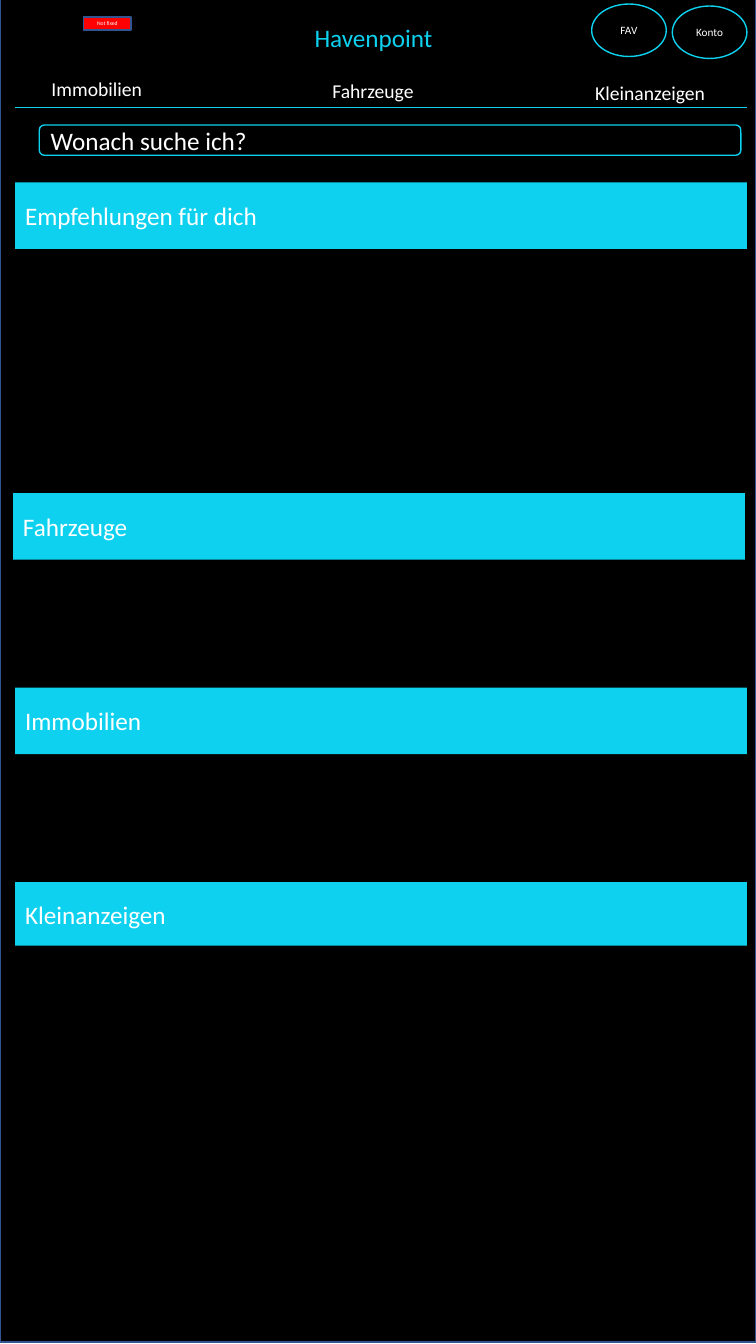
"""Build the start page of a classified-ads app as a portrait slide."""
from pptx import Presentation
from pptx.dml.color import RGBColor
from pptx.enum.shapes import MSO_CONNECTOR as Connector, MSO_SHAPE as Shape
from pptx.enum.text import MSO_ANCHOR as Anchor, MSO_AUTO_SIZE as AutoSize, PP_ALIGN as Align
from pptx.oxml.ns import qn
from pptx.util import Pt
from lxml.etree import SubElement

PX = 9144
BLACK = RGBColor(0x00, 0x00, 0x00)
WHITE = RGBColor(0xFF, 0xFF, 0xFF)
CYAN = RGBColor(0x0D, 0xD1, 0xEF)
RED = RGBColor(0xFF, 0x00, 0x00)
NAVY = RGBColor(0x32, 0x54, 0x91)


def px(*lengths):
    """Turn px lengths into EMU."""
    return [length * PX for length in lengths]


def set_all(target, values):
    """Set every attribute named in values on the target."""
    for attribute, value in values.items():
        setattr(target, attribute, value)


def write(holder, wording, size, color=WHITE, align=Align.LEFT, anchor=Anchor.MIDDLE):
    """Put one formatted line of text into a shape."""
    frame = holder.text_frame
    set_all(frame, {"text": wording, "word_wrap": True,
                    "auto_size": AutoSize.NONE, "vertical_anchor": anchor})
    line = frame.paragraphs[0]
    line.alignment = align
    set_all(line.runs[0].font, {"name": "Calibri", "size": Pt(size)})
    line.runs[0].font.color.rgb = color


def add_panel(slide, kind, box, fill, outline=None):
    """Add a filled shape, outlined if a colour is given."""
    panel = slide.shapes.add_shape(kind, *px(*box))
    panel.shadow.inherit = False
    panel.fill.solid()
    panel.fill.fore_color.rgb = fill
    if outline is None:
        panel.line.fill.background()
    else:
        panel.line.color.rgb = outline
        panel.line.width = Pt(1)
    return panel


def add_divider(slide, left, right, y):
    """Add the thin line below the navigation."""
    divider = slide.shapes.add_connector(Connector.STRAIGHT, *px(left, y, right, y))
    divider.line.color.rgb = CYAN
    divider.line.width = Pt(0.5)
    SubElement(divider._element.spPr, qn("a:effectLst"))


def add_brand(slide, wording):
    """Place the brand name in the title placeholder."""
    brand = slide.shapes.title
    set_all(brand, dict(zip(("left", "top", "width", "height"), px(302, 17, 145, 40))))
    write(brand, wording, 18, CYAN, anchor=Anchor.TOP)


def add_tab(slide, wording, left, top):
    """Add one navigation label."""
    tab = slide.shapes.add_textbox(*px(left, top, 132, 34))
    write(tab, wording, 14, align=Align.CENTER, anchor=Anchor.TOP)


def add_button(slide, wording, left, top):
    """Add one round header button."""
    button = add_panel(slide, Shape.OVAL, (left, top, 74, 52), BLACK, CYAN)
    write(button, wording, 8, align=Align.CENTER)


def add_section(slide, wording, left, top, height):
    """Add one section heading bar."""
    section = add_panel(slide, Shape.RECTANGLE, (left, top, 726, height), CYAN)
    write(section, wording, 18)


def main():
    """Build and save the slide."""
    deck = Presentation()
    set_all(deck, dict(zip(("slide_width", "slide_height"), px(750, 1333))))
    slide = deck.slides.add_slide(deck.slide_layouts[5])

    backdrop = add_panel(slide, Shape.RECTANGLE, (0, -2, 750, 1333), BLACK, NAVY)
    slide.shapes.title._element.addprevious(backdrop._element)
    add_brand(slide, "Havenpoint")

    status = add_panel(slide, Shape.RECTANGLE, (83, 17, 47, 13), RED, NAVY)
    write(status, "Not fixed", 4, align=Align.CENTER)

    add_divider(slide, 15, 741, 107)
    for index, category in enumerate(("Immobilien", "Fahrzeuge", "Kleinanzeigen")):
        add_tab(slide, category, 30 + 549 * index // 2, 71 + 2 * index)

    add_button(slide, "Konto", 667, 6)
    add_button(slide, "FAV", 587, 4)

    search = add_panel(slide, Shape.ROUNDED_RECTANGLE, (39, 124, 696, 30), BLACK, CYAN)
    write(search, "Wonach suche ich?", 18)

    for heading, left, top, height in (("Empfehlungen für dich", 15, 181, 66),
                                       ("Fahrzeuge", 13, 489, 66),
                                       ("Immobilien", 15, 682, 66),
                                       ("Kleinanzeigen", 15, 875, 63)):
        add_section(slide, heading, left, top, height)

    deck.save("out.pptx")


if __name__ == "__main__":
    main()
